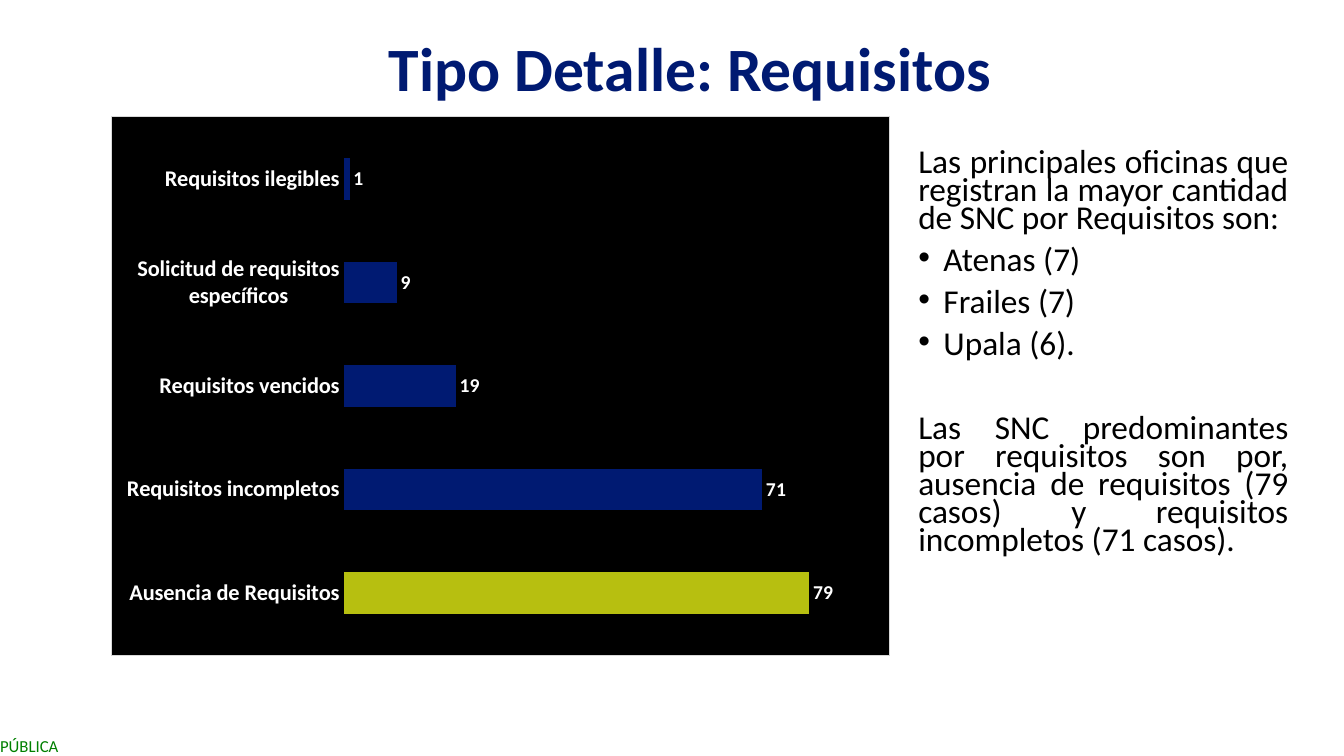
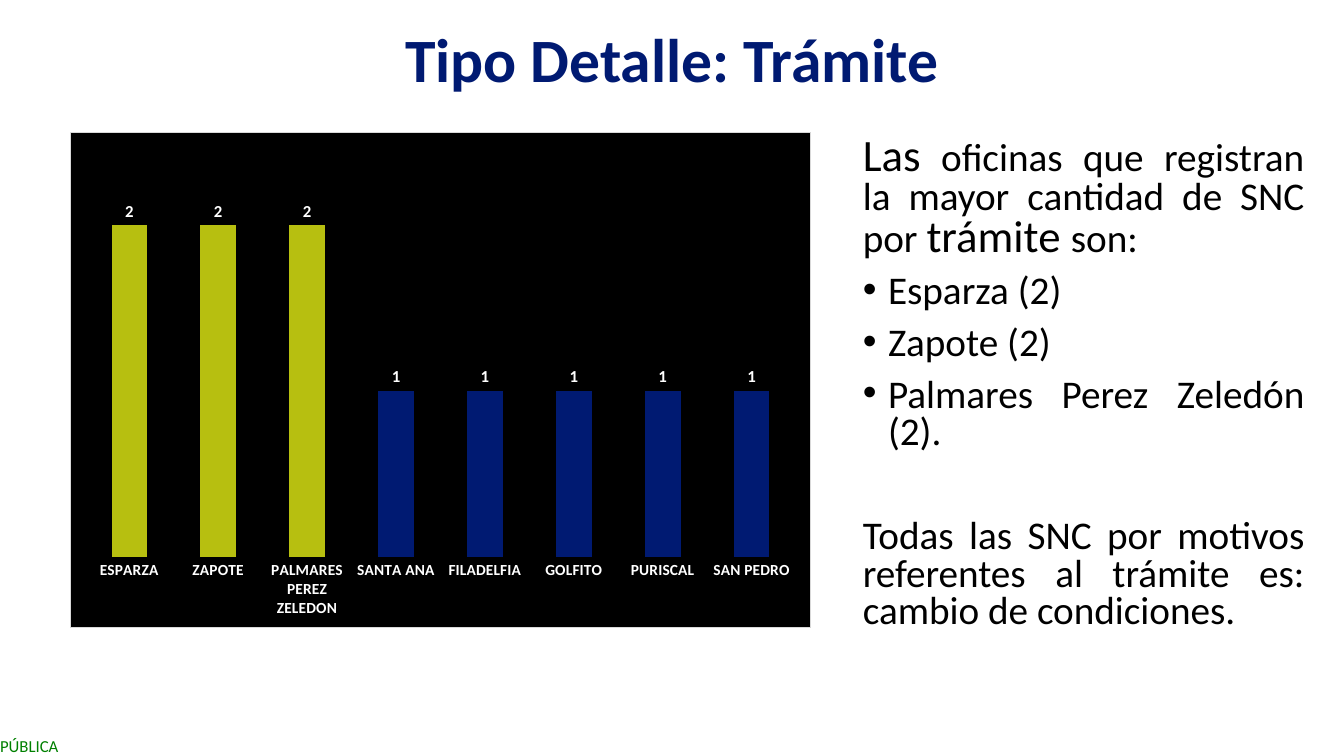
"""Two slides on request details, each with a title, a chart and a text column."""
import lxml.etree
import pptx
import pptx.chart.data
import pptx.dml.color
import pptx.enum.chart
import pptx.enum.text
import pptx.oxml.ns
import pptx.util

Pt = pptx.util.Pt
RGB = pptx.dml.color.RGBColor
qn = pptx.oxml.ns.qn
Kind = pptx.enum.chart.XL_CHART_TYPE
Align = pptx.enum.text.PP_ALIGN

NAVY = RGB(0x00, 0x1A, 0x72)
LIME = RGB(0xB7, 0xBF, 0x10)
BLACK = RGB(0x00, 0x00, 0x00)
WHITE = RGB(0xFF, 0xFF, 0xFF)
GREEN = RGB(0x00, 0x80, 0x00)
GRAY = RGB(0xD9, 0xD9, 0xD9)
FACE = "Calibri"
GAP = 10
HANG = 18

SLIDES = [
    {
        "title": "Tipo Detalle: Requisitos",
        "title_box": (79.2, 19.4, 828, 63.4),
        "intro": [("Las principales oficinas que registran la mayor cantidad "
                   "de SNC por Requisitos son:", 23.8)],
        "items": ["Atenas (7)", "Frailes (7)", "Upala (6)."],
        "close": "Las SNC predominantes por requisitos son por, ausencia de "
                 "requisitos (79 casos) y requisitos incompletos (71 casos).",
        "body_box": (648.7, 104.4, 278.6, 342),
        "size": 23.8, "lead": 0.7, "break": 40,
        "kind": Kind.BAR_CLUSTERED,
        "chart_box": (79.2, 82.8, 556.6, 385.9),
        "data": [("Ausencia de Requisitos", 79), ("Requisitos incompletos", 71),
                 ("Requisitos vencidos", 19),
                 ("Solicitud de requisitos específicos", 9),
                 ("Requisitos ilegibles", 1)],
        "top": 90, "cat_size": 16, "label_size": 14,
    },
    {
        "title": "Tipo Detalle: Trámite",
        "title_box": (66.2, 13.7, 828, 62.6),
        "intro": [("Las", 32),
                  (" oficinas que registran la mayor cantidad de SNC por ", 28),
                  ("trámite ", 32), ("son:", 28)],
        "items": ["Esparza (2)", "Zapote (2)", "Palmares Perez Zeledón (2)."],
        "close": "Todas las SNC por motivos referentes al trámite es: "
                 "cambio de condiciones.",
        "body_box": (609.1, 94.3, 329.8, 383),
        "size": 28, "lead": 0.8, "break": 47,
        "kind": Kind.COLUMN_CLUSTERED,
        "chart_box": (49.7, 94.3, 529.9, 354.2),
        "data": [("ESPARZA", 2), ("ZAPOTE", 2), ("PALMARES PEREZ ZELEDON", 2),
                 ("SANTA ANA", 1), ("FILADELFIA", 1), ("GOLFITO", 1),
                 ("PURISCAL", 1), ("SAN PEDRO", 1)],
        "top": 2.5, "cat_size": 11, "label_size": 12,
    },
]


def style(font, size, color, bold=False):
    font.name, font.size, font.bold = FACE, Pt(size), bold
    font.color.rgb = color


def place(shape, box):
    shape.left, shape.top, shape.width, shape.height = map(Pt, box)


def add_mark(layout, slide):
    box = slide.shapes.add_textbox(0, Pt(525.6), Pt(60), Pt(14.4))
    frame = box.text_frame
    frame.margin_left = frame.margin_right = 0
    frame.margin_top = frame.margin_bottom = 0
    frame.word_wrap = True
    frame.text = "PÚBLICA"
    style(frame.paragraphs[0].runs[0].font, 12, GREEN)
    layout.shapes.element.append(box.element)


def fill_title(shape, page):
    place(shape, page["title_box"])
    frame = shape.text_frame
    frame.text = page["title"]
    frame.auto_size = pptx.enum.text.MSO_AUTO_SIZE.NONE
    frame.vertical_anchor = pptx.enum.text.MSO_ANCHOR.MIDDLE
    para = frame.paragraphs[0]
    para.alignment, para.line_spacing = Align.CENTER, 0.9
    style(para.runs[0].font, 44, NAVY, True)


def set_bullet(para, hang):
    props = para._p.get_or_add_pPr()
    props.set("marL", str(Pt(hang)))
    props.set("indent", str(-Pt(hang)))
    if hang:
        lxml.etree.SubElement(props, qn("a:buFont")).set("typeface", "Arial")
        lxml.etree.SubElement(props, qn("a:buChar")).set("char", "•")
    else:
        lxml.etree.SubElement(props, qn("a:buNone"))


def fill_body(shape, page):
    place(shape, page["body_box"])
    frame = shape.text_frame
    frame.auto_size = pptx.enum.text.MSO_AUTO_SIZE.NONE
    size = page["size"]
    rows = [(page["intro"], 0, 0)]
    rows += [([(item, size)], HANG, GAP) for item in page["items"]]
    rows.append(([(page["close"], size)], 0, page["break"]))
    for num, (parts, hang, before) in enumerate(rows):
        para = frame.add_paragraph() if num else frame.paragraphs[0]
        set_bullet(para, hang)
        para.alignment = Align.JUSTIFY
        para.line_spacing, para.space_before = page["lead"], Pt(before)
        for text, points in parts:
            run = para.add_run()
            run.text = text
            style(run.font, points, BLACK)


def fill_back(chart):
    props = lxml.etree.Element(qn("c:spPr"))
    line = lxml.etree.Element(qn("a:ln"), w=str(Pt(0.75)))
    for node, color in ((props, BLACK), (line, GRAY)):
        solid = lxml.etree.SubElement(node, qn("a:solidFill"))
        lxml.etree.SubElement(solid, qn("a:srgbClr")).set("val", str(color))
    props.append(line)
    chart.element.find(qn("c:chart")).addnext(props)


def add_chart(slide, page):
    names, vals = zip(*page["data"])
    data = pptx.chart.data.CategoryChartData()
    data.categories = names
    data.add_series("Series 1", vals)
    chart = slide.shapes.add_chart(
        page["kind"], *map(Pt, page["chart_box"]), data).chart
    style(chart.font, 10, BLACK)
    chart.has_legend = chart.has_title = False
    fill_back(chart)

    axis = chart.category_axis
    axis.major_tick_mark = pptx.enum.chart.XL_TICK_MARK.NONE
    axis.format.line.fill.background()
    style(axis.tick_labels.font, page["cat_size"], WHITE, True)
    scale = chart.value_axis
    scale.minimum_scale, scale.maximum_scale = 0, page["top"]
    scale.has_major_gridlines = scale.visible = False

    plot = chart.plots[0]
    plot.gap_width, plot.vary_by_categories = 150, False
    bars = plot.series[0]
    bars.format.fill.solid()
    bars.format.fill.fore_color.rgb = NAVY
    for num, val in enumerate(vals):
        if val == max(vals):
            fill = bars.points[num].format.fill
            fill.solid()
            fill.fore_color.rgb = LIME
    labels = bars.data_labels
    labels.show_value = True
    labels.position = pptx.enum.chart.XL_LABEL_POSITION.OUTSIDE_END
    style(labels.font, page["label_size"], WHITE, True)


def main():
    deck = pptx.Presentation()
    deck.slide_width, deck.slide_height = Pt(960), Pt(540)
    layout = deck.slide_layouts[1]
    for num, page in enumerate(SLIDES):
        slide = deck.slides.add_slide(layout)
        if num == 0:
            add_mark(layout, slide)
        fill_title(slide.shapes.title, page)
        fill_body(slide.placeholders[1], page)
        add_chart(slide, page)
    deck.save("out.pptx")


if __name__ == "__main__":
    main()
